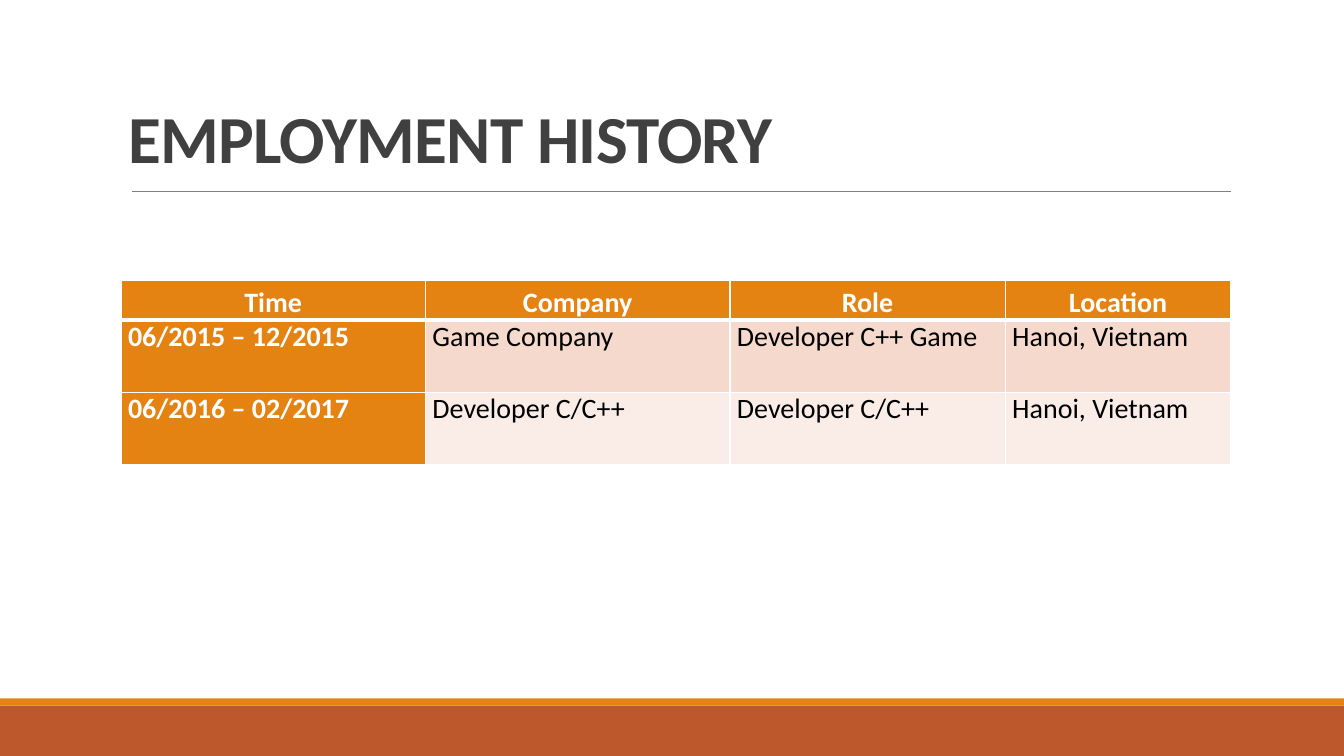
from lxml import etree
from pptx import Presentation
from pptx.dml.color import RGBColor
from pptx.enum import shapes, text
from pptx.oxml.ns import qn
from pptx.util import Inches, Pt

COLORS = {
    "white": "FFFFFF",
    "black": "000000",
    "title": "404040",
    "rule": "808080",
    "orange": "E48312",
    "rust": "BD582C",
    "band_dark": "F5D9CC",
    "band_light": "FAEDE7",
}
HISTORY = [
    ["Time", "Company", "Role", "Location"],
    ["06/2015 – 12/2015", "Game Company", "Developer C++ Game", "Hanoi, Vietnam"],
    ["06/2016 – 02/2017", "Developer C/C++", "Developer C/C++", "Hanoi, Vietnam"],
]
COLUMN_WIDTHS = [3.02, 3.02, 2.73, 2.24]
ROW_HEIGHTS = [0.39, 0.72, 0.72]
ROW_FILLS = ["orange", "band_dark", "band_light"]


def rgb(name):
    return RGBColor.from_string(COLORS[name])


def write(tf, content, size=20, color="black", bold=False,
          align=text.PP_ALIGN.LEFT, line_spacing=1.0, tracking=None):
    p = tf.paragraphs[0]
    p.alignment = align
    p.line_spacing = line_spacing
    r = p.add_run()
    r.text = content
    r.font.name = "Calibri"
    r.font.size = Pt(size)
    r.font.bold = bold
    r.font.color.rgb = rgb(color)
    if tracking is not None:
        r.font._element.set("spc", str(int(tracking * 100)))


def add_band(s, top, height, color):
    band = s.shapes.add_shape(shapes.MSO_SHAPE.RECTANGLE, 0, Inches(top),
                              Inches(13.33), Inches(height))
    band.shadow.inherit = False
    band.fill.solid()
    band.fill.fore_color.rgb = rgb(color)
    band.line.fill.background()


def add_rule(s, left, right, y):
    rule = s.shapes.add_connector(shapes.MSO_CONNECTOR.STRAIGHT, Inches(left),
                                  Inches(y), Inches(right), Inches(y))
    rule.line.color.rgb = rgb("rule")
    rule.line.width = Pt(0.5)
    etree.SubElement(rule._element.spPr, qn("a:effectLst"))


def set_title(s, content):
    title = s.shapes.title
    title.left, title.top = Inches(1.17), Inches(0.99)
    title.width, title.height = Inches(11), Inches(1.59)
    tf = title.text_frame
    tf.auto_size = text.MSO_AUTO_SIZE.NONE
    tf.vertical_anchor = text.MSO_ANCHOR.BOTTOM
    tf.margin_bottom = Inches(0.82)
    write(tf, content, size=48, color="title", bold=True,
          line_spacing=0.85, tracking=-0.5)


def set_borders(cell, top, bottom):
    """Give a cell white borders; top and bottom are widths in points."""
    tcPr = cell._tc.get_or_add_tcPr()
    for side, width in (("L", 1), ("R", 1), ("T", top), ("B", bottom)):
        ln = etree.SubElement(tcPr, qn(f"a:ln{side}"), w=str(Pt(width)))
        fill = etree.SubElement(ln, qn("a:solidFill"))
        etree.SubElement(fill, qn("a:srgbClr"), val=COLORS["white"])


def format_cell(cell, content, row, col):
    header = row == 0
    strong = header or col == 0
    set_borders(cell, top=3 if row == 1 else 1, bottom=3 if header else 1)
    cell.fill.solid()
    cell.fill.fore_color.rgb = rgb("orange" if strong else ROW_FILLS[row])
    cell.margin_left = cell.margin_right = Inches(0.07)
    cell.margin_top = cell.margin_bottom = 0
    write(cell.text_frame, content, bold=strong,
          color="white" if strong else "black",
          align=text.PP_ALIGN.CENTER if header else text.PP_ALIGN.LEFT,
          line_spacing=1.15 if header else 1.0)


def add_history_table(s):
    table = s.shapes.add_table(
        len(HISTORY), len(COLUMN_WIDTHS), Inches(1.2), Inches(2.78),
        Inches(sum(COLUMN_WIDTHS)), Inches(sum(ROW_HEIGHTS))).table
    for column, width in zip(table.columns, COLUMN_WIDTHS):
        column.width = Inches(width)
    for i, (height, values) in enumerate(zip(ROW_HEIGHTS, HISTORY)):
        table.rows[i].height = Inches(height)
        for j, value in enumerate(values):
            format_cell(table.cell(i, j), value, i, j)


def main():
    prs = Presentation()
    prs.slide_width, prs.slide_height = Inches(13.33), Inches(7.5)
    s = prs.slides.add_slide(prs.slide_layouts[5])
    add_band(s, 7, 0.5, "rust")
    add_band(s, 6.93, 0.07, "orange")
    add_rule(s, 1.31, 12.21, 1.9)
    set_title(s, "EMPLOYMENT HISTORY")
    add_history_table(s)
    prs.save("out.pptx")


if __name__ == "__main__":
    main()
